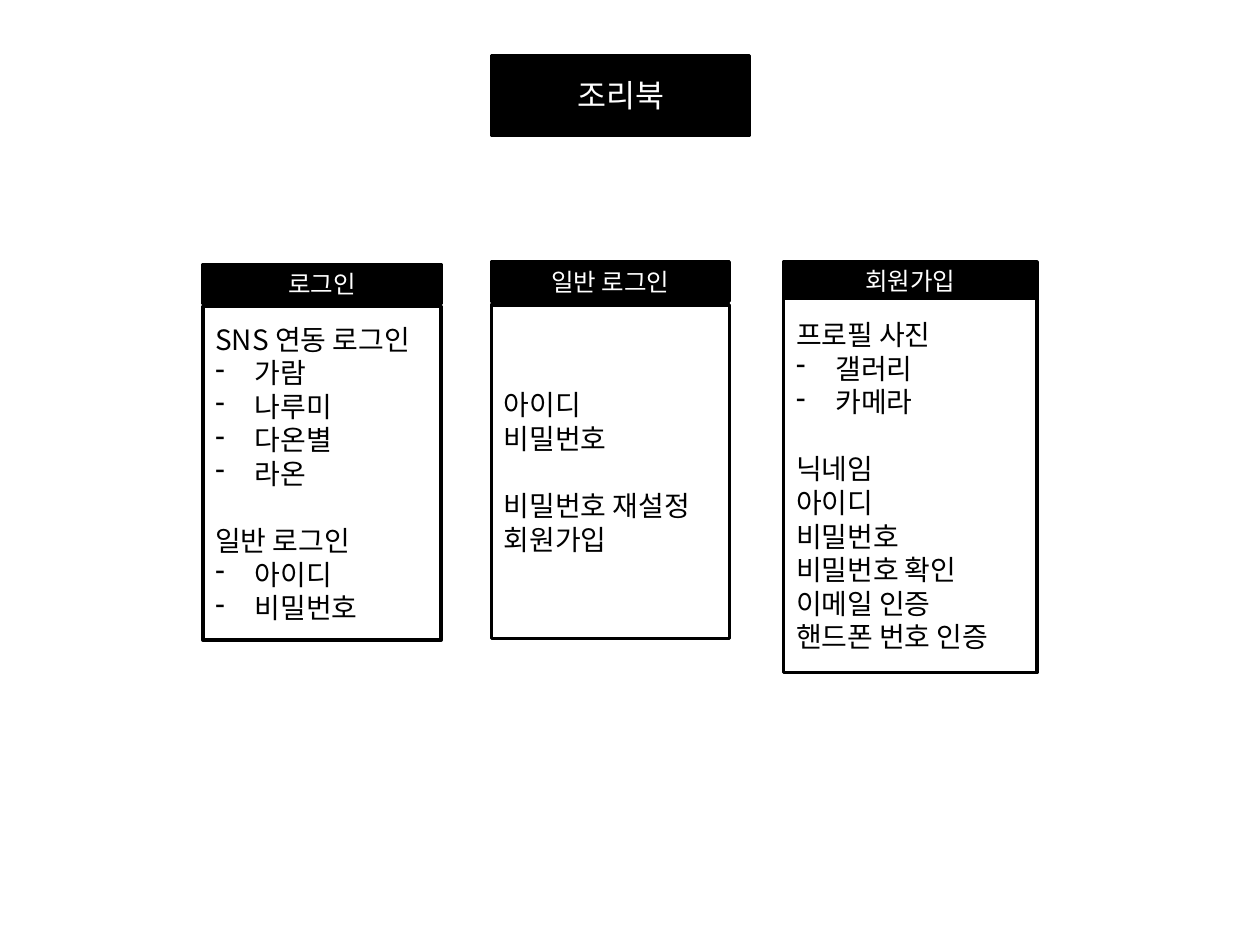
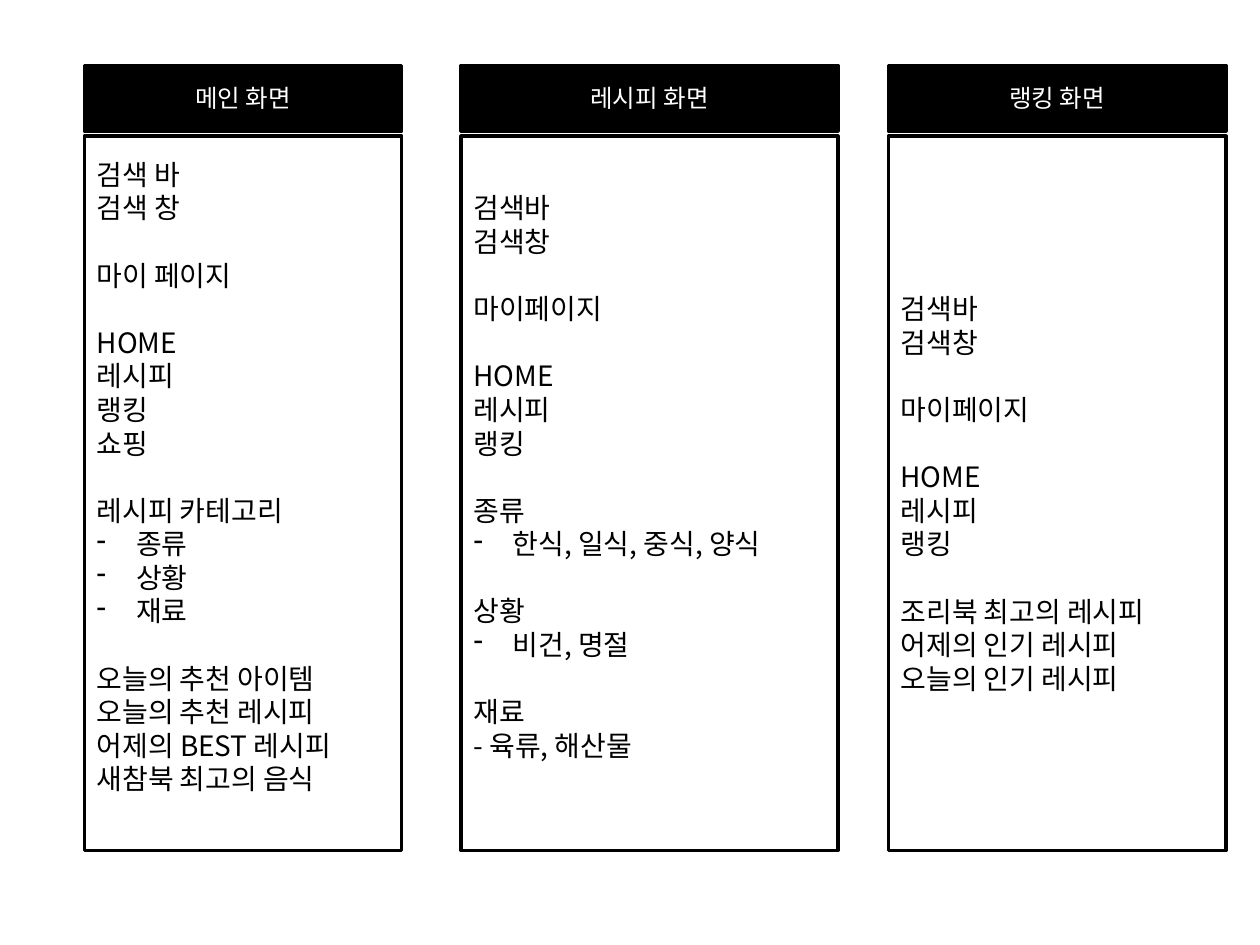
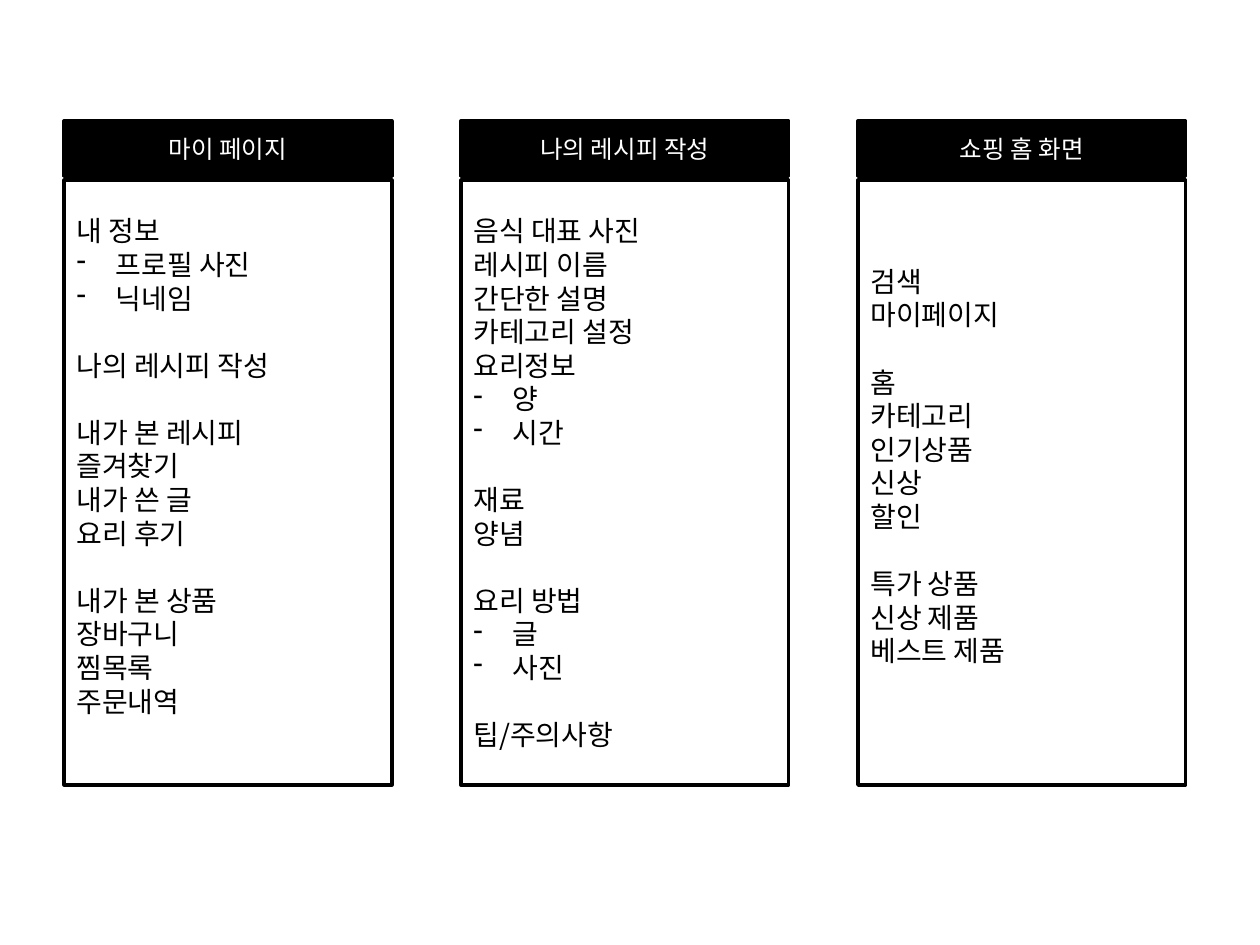
"""Screen map of a recipe app: three slides of headed panels."""
from dataclasses import dataclass

from lxml import etree
from pptx import Presentation
from pptx import util as u
from pptx.dml.color import RGBColor
from pptx.enum import shapes, text
from pptx.oxml import ns

Pt = u.Pt
BLACK = RGBColor(0x00, 0x00, 0x00)
WHITE = RGBColor(0xFF, 0xFF, 0xFF)
FONT = "Noto Sans CJK KR"
LINE_RATIO = 1.2
TITLE_SIZE, HEADER_SIZE, BODY_SIZE = 18, 14, 16
BODY_LINE = BODY_SIZE * LINE_RATIO
BULLET_INDENT = 22.5
INSET = 3.6
TITLE_ONLY, BLANK = 5, 6


class Bullet(str):
    """A line that is set with a hanging dash."""


@dataclass(frozen=True)
class Rows:
    """Vertical layout of a panel: header and body."""
    header_top: float
    header_height: float
    body_top: float
    body_height: float


@dataclass(frozen=True)
class Panel:
    """A headed box; each group of lines is set off by one empty line."""
    header: str
    left: float
    width: float
    rows: Rows
    groups: list[list[str]]
    space_below: float = 0


def write(para, words: str, *, size: float, color: RGBColor, align=None,
          before: float = 0, bullet: bool = False) -> None:
    """Put words in a paragraph and format them."""
    para.alignment = align
    para.line_spacing = Pt(size * LINE_RATIO)
    para.space_before = Pt(before)
    if bullet:
        props = para._p.get_or_add_pPr()
        props.set("marL", str(Pt(BULLET_INDENT)))
        props.set("indent", str(-Pt(BULLET_INDENT)))
        etree.SubElement(props, ns.qn("a:buChar"), char="-")
    span = para.add_run()
    span.text = words
    span.font.size = Pt(size)
    span.font.color.rgb = color
    span.font.name = FONT
    etree.SubElement(span._r.get_or_add_rPr(), ns.qn("a:ea"), typeface=FONT)


def style_box(box, fill: RGBColor) -> None:
    """Give a box its fill, black outline and text frame settings."""
    box.fill.solid()
    box.fill.fore_color.rgb = fill
    box.line.color.rgb = BLACK
    box.line.width = Pt(2)
    frame = box.text_frame
    frame.word_wrap = True
    frame.auto_size = text.MSO_AUTO_SIZE.NONE
    frame.vertical_anchor = text.MSO_ANCHOR.MIDDLE
    frame.margin_top = frame.margin_bottom = Pt(INSET)


def add_box(parent, left: float, top: float, width: float, height: float,
            fill: RGBColor):
    """Add a styled rectangle without shadow."""
    box = parent.shapes.add_shape(shapes.MSO_SHAPE.RECTANGLE, Pt(left), Pt(top),
                                  Pt(width), Pt(height))
    box.shadow.inherit = False
    style_box(box, fill)
    return box


def add_panel(page, panel: Panel) -> None:
    """Draw the header and the body of a panel as one group."""
    group = page.shapes.add_group_shape()
    rows = panel.rows
    header = add_box(group, panel.left, rows.header_top, panel.width,
                     rows.header_height, BLACK)
    write(header.text_frame.paragraphs[0], panel.header, size=HEADER_SIZE,
          color=WHITE, align=text.PP_ALIGN.CENTER)

    body = add_box(group, panel.left, rows.body_top, panel.width,
                   rows.body_height, WHITE)
    frame = body.text_frame
    frame.margin_bottom = Pt(INSET + panel.space_below)
    para = frame.paragraphs[0]
    for group_index, lines in enumerate(panel.groups):
        for line_index, line in enumerate(lines):
            if group_index or line_index:
                para = frame.add_paragraph()
            starts_group = group_index > 0 and line_index == 0
            write(para, line, size=BODY_SIZE, color=BLACK,
                  align=text.PP_ALIGN.LEFT,
                  before=BODY_LINE if starts_group else 0,
                  bullet=isinstance(line, Bullet))


def add_title(page, words: str) -> None:
    """Turn the title placeholder into a black name plate."""
    title = page.shapes.title
    title.left, title.top = Pt(280.8), Pt(31.7)
    title.width, title.height = Pt(147.6), Pt(45.4)
    style_box(title, BLACK)
    write(title.text_frame.paragraphs[0], words, size=TITLE_SIZE, color=WHITE,
          align=text.PP_ALIGN.CENTER)


LOGIN_ROWS = Rows(151.2, 22.3, 175, 190.8)
PLAIN_LOGIN_ROWS = Rows(149.8, 22.3, 174.2, 190.8)
SIGN_UP_ROWS = Rows(149.8, 21.6, 170.6, 213.8)
LOGIN_PANELS = [
    Panel("로그인", 116, 136, LOGIN_ROWS, [
        ["SNS 연동 로그인", Bullet("가람"), Bullet("나루미"), Bullet("다온별"),
         Bullet("라온")],
        ["일반 로그인", Bullet("아이디"), Bullet("비밀번호")],
    ]),
    Panel("일반 로그인", 280.8, 136, PLAIN_LOGIN_ROWS, [
        ["아이디", "비밀번호"],
        ["비밀번호 재설정", "회원가입"],
    ]),
    Panel("회원가입", 447.8, 144.7, SIGN_UP_ROWS, [
        ["프로필 사진", Bullet("갤러리"), Bullet("카메라")],
        ["닉네임", "아이디", "비밀번호", "비밀번호 확인", "이메일 인증",
         "핸드폰 번호 인증"],
    ]),
]

MAIN_ROWS = Rows(37.4, 37.4, 77.8, 408.2)
MAIN_PANELS = [
    Panel("메인 화면", 48.2, 181.4, MAIN_ROWS, [
        ["검색 바", "검색 창"],
        ["마이 페이지"],
        ["HOME", "레시피", "랭킹", "쇼핑"],
        ["레시피 카테고리", Bullet("종류"), Bullet("상황"), Bullet("재료")],
        ["오늘의 추천 아이템", "오늘의 추천 레시피", "어제의 BEST 레시피",
         "새참북 최고의 음식"],
    ], BODY_LINE),
    Panel("레시피 화면", 263.5, 215.3, MAIN_ROWS, [
        ["검색바", "검색창"],
        ["마이페이지"],
        ["HOME", "레시피", "랭킹"],
        ["종류", Bullet("한식, 일식, 중식, 양식")],
        ["상황", Bullet("비건, 명절")],
        ["재료", "- 육류, 해산물"],
    ], BODY_LINE),
    Panel("랭킹 화면", 507.6, 193, MAIN_ROWS, [
        ["검색바", "검색창"],
        ["마이페이지"],
        ["HOME", "레시피", "랭킹"],
        ["조리북 최고의 레시피", "어제의 인기 레시피", "오늘의 인기 레시피"],
    ]),
]

MY_ROWS = Rows(69.1, 31.7, 103, 345.6)
MY_LEFT, MY_STEP, MY_WIDTH = 36.7, 226.8, 187.2
MY_PANELS = [
    Panel("마이 페이지", MY_LEFT, MY_WIDTH, MY_ROWS, [
        ["내 정보", Bullet("프로필 사진"), Bullet("닉네임")],
        ["나의 레시피 작성"],
        ["내가 본 레시피", "즐겨찾기", "내가 쓴 글", "요리 후기"],
        ["내가 본 상품", "장바구니", "찜목록", "주문내역"],
    ], BODY_LINE),
    Panel("나의 레시피 작성", MY_LEFT + MY_STEP, MY_WIDTH, MY_ROWS, [
        ["음식 대표 사진", "레시피 이름", "간단한 설명", "카테고리 설정",
         "요리정보", Bullet("양"), Bullet("시간")],
        ["재료", "양념"],
        ["요리 방법", Bullet("글"), Bullet("사진")],
        ["팁/주의사항"],
    ]),
    Panel("쇼핑 홈 화면", MY_LEFT + 2 * MY_STEP, MY_WIDTH, MY_ROWS, [
        ["검색", "마이페이지"],
        ["홈", "카테고리", "인기상품", "신상", "할인"],
        ["특가 상품", "신상 제품", "베스트 제품"],
    ], BODY_LINE),
]


def add_page(deck, panels: list[Panel], title: str = ""):
    """Add a slide with its panels and, if given, a title."""
    page = deck.slides.add_slide(deck.slide_layouts[TITLE_ONLY if title else BLANK])
    if title:
        add_title(page, title)
    for panel in panels:
        add_panel(page, panel)


def main() -> None:
    """Build the deck and save it."""
    deck = Presentation()
    deck.slide_width, deck.slide_height = Pt(720), Pt(540)
    add_page(deck, LOGIN_PANELS, "조리북")
    add_page(deck, MAIN_PANELS)
    add_page(deck, MY_PANELS)
    deck.save("out.pptx")


main()
